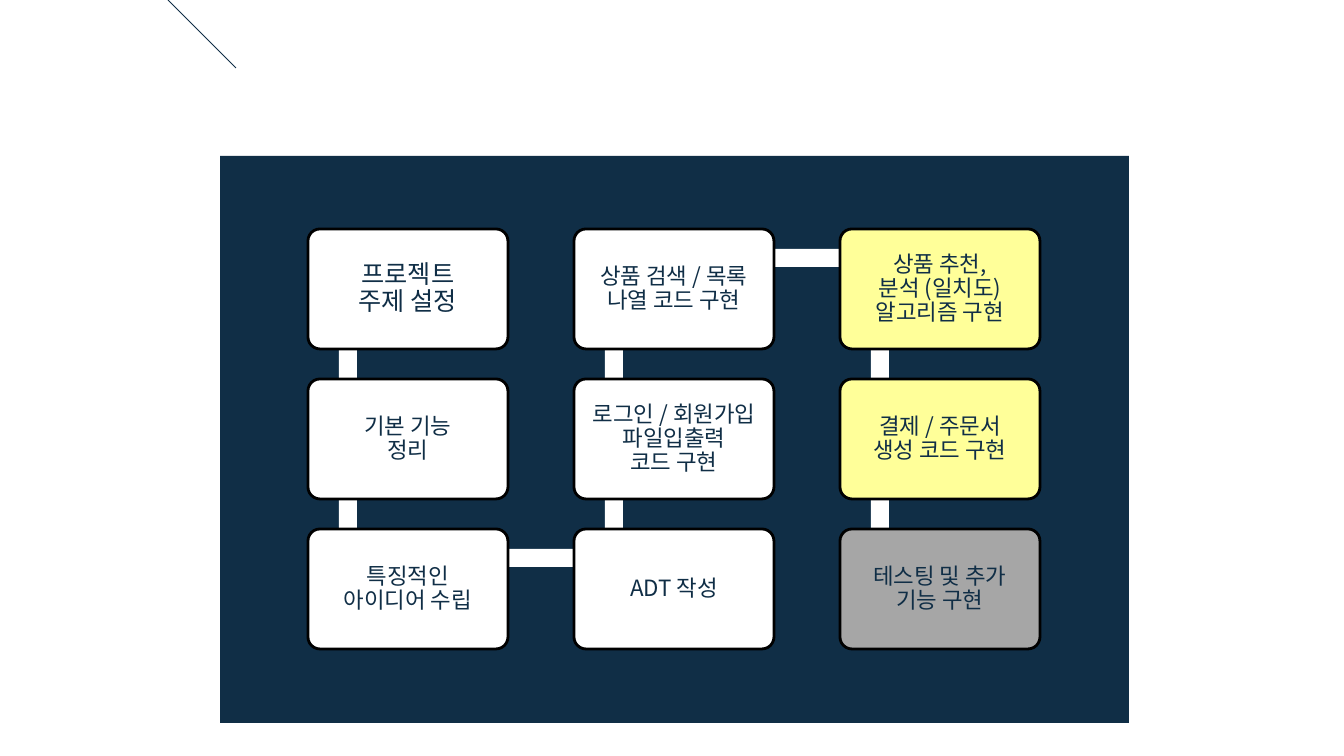
from lxml.etree import SubElement
from pptx import Presentation
from pptx.dml.color import RGBColor
from pptx.enum.shapes import MSO_CONNECTOR, MSO_SHAPE
from pptx.enum.text import MSO_ANCHOR, PP_ALIGN
from pptx.oxml.ns import qn
from pptx.util import Emu, Pt

NAVY = RGBColor(0x10, 0x2E, 0x46)
WHITE = RGBColor(0xFF, 0xFF, 0xFF)
BLACK = RGBColor(0x00, 0x00, 0x00)
YELLOW = RGBColor(0xFF, 0xFF, 0x99)
GRAY = RGBColor(0xA6, 0xA6, 0xA6)

SLIDE_WIDTH, SLIDE_HEIGHT = 1344, 756
FIRST_LEFT, FIRST_TOP = 308, 229
COLUMN_STEP, ROW_STEP = 266, 150
CARD_WIDTH, CARD_HEIGHT = 200, 120
BAR_THICKNESS = 18

STEPS = [
    [("프로젝트\n주제 설정", WHITE, 18),
     ("기본 기능\n정리", WHITE, 16),
     ("특징적인\n아이디어 수립", WHITE, 16)],
    [("상품 검색 / 목록\n나열 코드 구현", WHITE, 16),
     ("로그인 / 회원가입\n파일입출력\n코드 구현", WHITE, 16),
     ("ADT 작성", WHITE, 16)],
    [("상품 추천,\n분석 (일치도)\n알고리즘 구현", YELLOW, 16),
     ("결제 / 주문서\n생성 코드 구현", YELLOW, 16),
     ("테스팅 및 추가\n기능 구현", GRAY, 16)],
]
COLUMN_LINKS = [(0, 2), (1, 0)]


def px(length):
    return Emu(round(length * 12192000 / SLIDE_WIDTH))


def apply_format(target, values):
    for name, value in values.items():
        setattr(target, name, value)


class FlowSlide:
    font_name = "Noto Sans CJK KR"
    frame_format = {
        "word_wrap": True,
        "vertical_anchor": MSO_ANCHOR.MIDDLE,
        "margin_left": px(10),
        "margin_right": px(10),
        "margin_top": px(10),
        "margin_bottom": px(10),
    }
    paragraph_format = {"alignment": PP_ALIGN.CENTER, "line_spacing": 0.9}

    def __init__(self, presentation):
        self.slide = presentation.slides.add_slide(presentation.slide_layouts[6])

    def block(self, left, top, width, height, color, kind=MSO_SHAPE.RECTANGLE):
        shape = self.slide.shapes.add_shape(
            kind, px(left), px(top), px(width), px(height))
        shape.shadow.inherit = False
        shape.fill.solid()
        shape.fill.fore_color.rgb = color
        shape.line.fill.background()
        return shape

    def line(self, start_x, start_y, end_x, end_y):
        connector = self.slide.shapes.add_connector(
            MSO_CONNECTOR.STRAIGHT, px(start_x), px(start_y), px(end_x), px(end_y))
        connector.line.color.rgb = NAVY
        connector.line.width = Pt(0.75)
        SubElement(connector._element.spPr, qn("a:effectLst"))

    def card(self, left, top, text, color, size):
        shape = self.block(left, top, CARD_WIDTH, CARD_HEIGHT, color,
                           MSO_SHAPE.ROUNDED_RECTANGLE)
        shape.adjustments[0] = 0.1
        shape.line.color.rgb = BLACK
        shape.line.width = Pt(2)
        apply_format(shape.text_frame, self.frame_format)
        paragraph = shape.text_frame.paragraphs[0]
        paragraph.text = text
        apply_format(paragraph, self.paragraph_format)
        for run in paragraph.runs:
            apply_format(run.font, {"name": self.font_name, "size": Pt(size)})
            run.font.color.rgb = NAVY
            SubElement(run.font._element, qn("a:ea"), typeface=self.font_name)


def card_position(column, row):
    return FIRST_LEFT + column * COLUMN_STEP, FIRST_TOP + row * ROW_STEP


def main():
    presentation = Presentation()
    apply_format(presentation, {"slide_width": px(SLIDE_WIDTH),
                                "slide_height": px(SLIDE_HEIGHT)})
    flow = FlowSlide(presentation)
    flow.block(220, 156, 909, 567, NAVY)
    flow.line(168, 0, 236, 68)

    for column, cards in enumerate(STEPS):
        for row in range(len(cards) - 1):
            left, top = card_position(column, row)
            flow.block(left + 31, top + 30, BAR_THICKNESS, ROW_STEP, WHITE)
    for column, row in COLUMN_LINKS:
        left, top = card_position(column, row)
        flow.block(left + 41, top + 20, COLUMN_STEP, BAR_THICKNESS, WHITE)
    for column, cards in enumerate(STEPS):
        for row, (text, color, size) in enumerate(cards):
            flow.card(*card_position(column, row), text, color, size)

    presentation.save("out.pptx")


if __name__ == "__main__":
    main()
